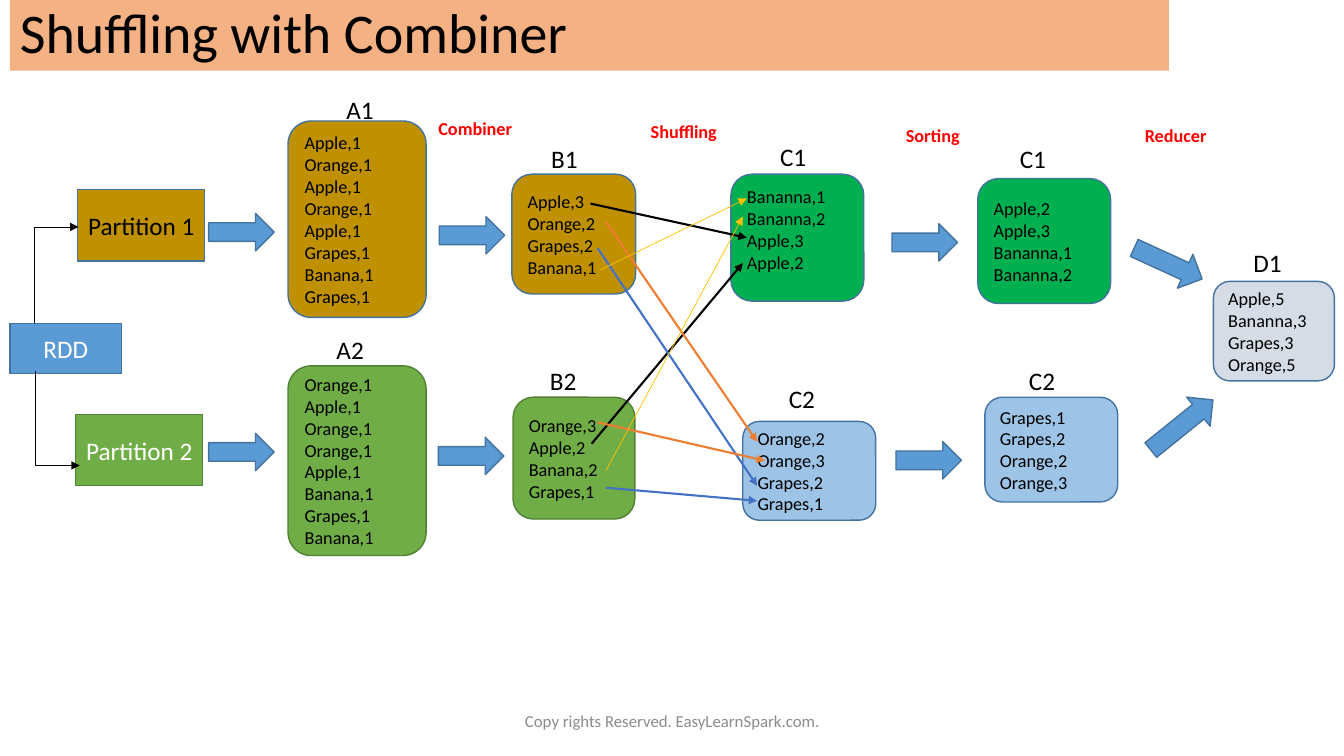
"""Build the slide that follows word counts through shuffling with a combiner."""
from lxml import etree
from pptx import Presentation
from pptx.dml.color import RGBColor
from pptx.enum.shapes import MSO_CONNECTOR, MSO_SHAPE
from pptx.enum.text import MSO_ANCHOR, PP_ALIGN
from pptx.oxml.ns import qn
from pptx.util import Cm, Pt

RECT, ROUNDED, ARROW = MSO_SHAPE.RECTANGLE, MSO_SHAPE.ROUNDED_RECTANGLE, MSO_SHAPE.RIGHT_ARROW
STRAIGHT, ELBOW = MSO_CONNECTOR.STRAIGHT, MSO_CONNECTOR.ELBOW
TOP, MIDDLE = MSO_ANCHOR.TOP, MSO_ANCHOR.MIDDLE
LEFT, CENTER = PP_ALIGN.LEFT, PP_ALIGN.CENTER

BLACK, WHITE = RGBColor(0, 0, 0), RGBColor(255, 255, 255)
RED, GRAY = RGBColor(0xFF, 0, 0), RGBColor(0x8C, 0x8C, 0x8C)
PEACH, GOLD = RGBColor(0xF4, 0xB1, 0x83), RGBColor(0xBF, 0x90, 0)
OLIVE, OLIVE_EDGE = RGBColor(0x70, 0xAD, 0x47), RGBColor(0x53, 0x80, 0x35)
BLUE, BLUE_EDGE = RGBColor(0x5B, 0x9B, 0xD5), RGBColor(0x43, 0x73, 0x9E)
GREEN, SKY, MIST = RGBColor(0, 0xB0, 0x50), RGBColor(0x9D, 0xC3, 0xE6), RGBColor(0xD6, 0xDC, 0xE5)
ROYAL, ORANGE, YELLOW = RGBColor(0x44, 0x72, 0xC4), RGBColor(0xED, 0x7D, 0x31), RGBColor(0xFF, 0xC0, 0)

TITLE = "Shuffling with Combiner"
FOOTER = "Copy rights Reserved. EasyLearnSpark.com."
SOURCES = [
    ("Partition 1", (1.96, 4.78, 3.2, 1.8), GOLD, BLACK),
    ("Partition 2", (1.91, 10.44, 3.2, 1.8), OLIVE, WHITE),
    ("RDD", (0.25, 8.15, 2.82, 1.27), BLUE, WHITE),
]
RECORDS = [
    ("Apple,1 Orange,1 Apple,1 Orange,1 Apple,1 Grapes,1 Banana,1 Grapes,1",
     (7.26, 3.05, 3.48, 4.95), GOLD, MIDDLE),
    ("Orange,1 Apple,1 Orange,1 Orange,1 Apple,1 Banana,1 Grapes,1 Banana,1",
     (7.26, 9.22, 3.48, 4.78), OLIVE, MIDDLE),
    ("Apple,3 Orange,2 Grapes,2 Banana,1", (12.9, 4.39, 3.12, 3.02), GOLD, MIDDLE),
    ("Orange,3 Apple,2 Banana,2 Grapes,1", (12.93, 10.01, 3.07, 3.07), OLIVE, MIDDLE),
    ("Bananna,1 Bananna,2 Apple,3 Apple,2", (18.42, 4.39, 3.35, 3.2), GREEN, TOP),
    ("Orange,2 Orange,3 Grapes,2 Grapes,1", (18.72, 10.62, 3.35, 2.49), SKY, MIDDLE),
    ("Apple,2 Apple,3 Bananna,1 Bananna,2", (24.64, 4.5, 3.35, 3.15), GREEN, MIDDLE),
    ("Grapes,1 Grapes,2 Orange,2 Orange,3", (24.82, 10.01, 3.35, 2.64), SKY, MIDDLE),
    ("Apple,5 Bananna,3 Grapes,3 Orange,5", (30.58, 7.09, 3.05, 2.51), MIST, MIDDLE),
]
BOX_LABELS = [
    ("A1", 8.48, 2.26), ("A2", 8.23, 8.31), ("B1", 13.64, 3.48),
    ("B2", 13.61, 9.07), ("C1", 19.41, 3.43), ("C2", 19.63, 9.53),
    ("C1", 25.45, 3.48), ("C2", 25.68, 9.07), ("D1", 31.34, 6.1),
]
STAGES = [("Combiner", 10.8, 2.82), ("Shuffling", 16.15, 2.9),
          ("Sorting", 22.58, 3.0), ("Reducer", 28.6, 3.02)]
STEPS = [
    (5.26, 5.38, 1.65, 0), (5.26, 10.92, 1.65, 0),
    (11.07, 5.46, 1.65, 0), (11.05, 11.02, 1.65, 0),
    (22.48, 5.64, 1.65, 0), (22.58, 11.13, 1.65, 0),
    (28.5, 6.17, 1.88, 24.6), (28.78, 10.24, 2.01, 321.1),
]
SHUFFLES = [
    ((14.88, 5.13), (18.82, 5.99), BLACK, 1.5),
    ((14.91, 11.18), (18.72, 6.63), BLACK, 1.5),
    ((15.06, 6.25), (19.08, 12.24), ROYAL, 1.5),
    ((15.27, 12.29), (19.08, 12.62), ROYAL, 1.5),
    ((15.27, 5.59), (19.08, 11.13), ORANGE, 1.5),
    ((15.06, 10.64), (19.28, 11.61), ORANGE, 1.5),
    ((15.27, 11.86), (18.72, 5.46), YELLOW, 0.5),
    ((15.11, 6.81), (18.82, 5.0), YELLOW, 0.5),
]
SPLITS = [((0.86, 8.15), (1.98, 5.72)), ((0.89, 9.35), (2.01, 11.73))]


def write(holder, lines, size, color, align=LEFT, anchor=MIDDLE, bold=False):
    frame = holder.text_frame
    frame.word_wrap = True
    frame.vertical_anchor = anchor
    frame.text = "\n".join(lines)
    for paragraph in frame.paragraphs:
        paragraph.alignment = align
        paragraph.font.name = "Calibri"
        paragraph.font.size = Pt(size)
        paragraph.font.bold = bold
        paragraph.font.color.rgb = color
    return frame


def add_block(slide, kind, place, fill, outlined=True):
    block = slide.shapes.add_shape(kind, *map(Cm, place))
    block.shadow.inherit = False
    block.fill.solid()
    block.fill.fore_color.rgb = fill
    if outlined:
        block.line.color.rgb = OLIVE_EDGE if fill == OLIVE else BLUE_EDGE
        block.line.width = Pt(1)
    else:
        block.line.fill.background()
    return block


def add_label(slide, text, place, size, color, **style):
    write(slide.shapes.add_textbox(*map(Cm, place)), [text], size, color, **style)


def add_flow(slide, kind, start, end, color, width):
    flow = slide.shapes.add_connector(kind, *map(Cm, start + end))
    flow.line.color.rgb = color
    flow.line.width = Pt(width)
    etree.SubElement(flow.line._get_or_add_ln(), qn("a:tailEnd"), type="triangle")
    etree.SubElement(flow._element.spPr, qn("a:effectLst"))
    return flow


def add_split(slide, start, end):
    """Draw an elbow that leaves vertically and arrives from the left."""
    (x1, y1), (x2, y2) = start, end
    upward = y2 < y1
    middle_x, middle_y = (x1 + x2) / 2, (y1 + y2) / 2
    half_w, half_h = abs(y2 - y1) / 2, (x2 - x1) / 2
    near, far = middle_y - half_h, middle_y + half_h
    from_y, to_y = (far, near) if upward else (near, far)
    split = add_flow(slide, ELBOW, (middle_x + half_w, from_y),
                     (middle_x - half_w, to_y), BLACK, 0.5)
    properties = split._element.spPr
    properties.find(qn("a:prstGeom")).set("prst", "bentConnector2")
    properties.find(qn("a:xfrm")).set("rot", str((90 if upward else 270) * 60000))


def main():
    deck = Presentation()
    deck.slide_width, deck.slide_height = Cm(33.87), Cm(19.05)
    slide = deck.slides.add_slide(deck.slide_layouts[6])

    banner = add_block(slide, RECT, (0.25, 0, 29.21, 1.78), PEACH, outlined=False)
    write(banner, [TITLE], 40, BLACK).paragraphs[0].line_spacing = 0.9
    for name, place, fill, color in SOURCES:
        write(add_block(slide, RECT, place, fill), [name], 18, color, CENTER)
    for records, place, fill, anchor in RECORDS:
        write(add_block(slide, ROUNDED, place, fill), records.split(), 13, BLACK, anchor=anchor)
    for x, y, length, angle in STEPS:
        add_block(slide, ARROW, (x, y, length, 0.94), BLUE).rotation = angle
    for shuffle in SHUFFLES:
        add_flow(slide, STRAIGHT, *shuffle)
    for start, end in SPLITS:
        add_split(slide, start, end)
    for text, x, y in BOX_LABELS:
        add_label(slide, text, (x, y, 1.52, 1.02), 18, BLACK, anchor=TOP)
    for text, x, y in STAGES:
        add_label(slide, text, (x, y, 3.12, 0.81), 13, RED, anchor=TOP, bold=True)
    add_label(slide, FOOTER, (11.23, 17.65, 11.43, 1.02), 12, GRAY, align=CENTER)
    deck.save("out.pptx")


if __name__ == "__main__":
    main()
